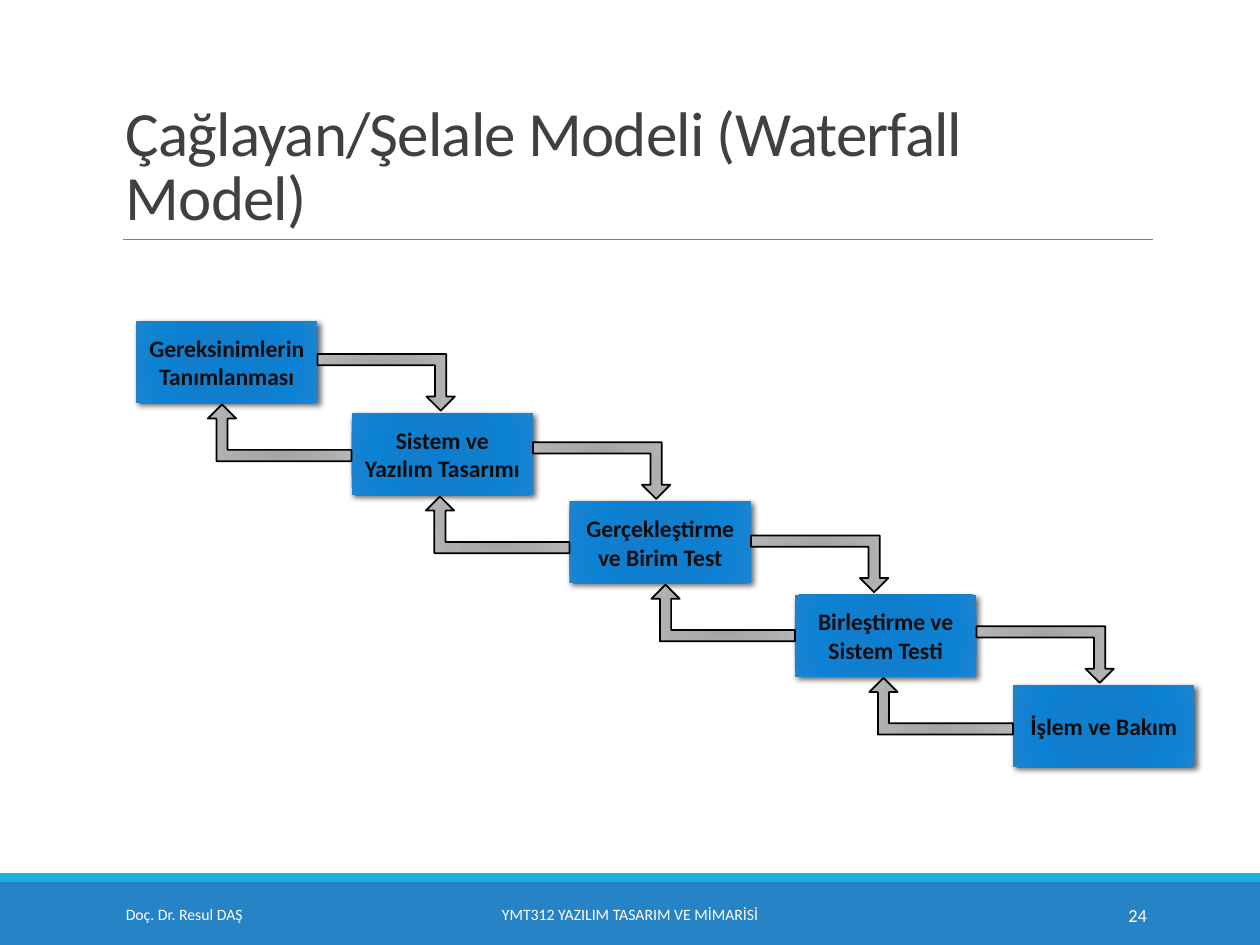
from pptx import Presentation
from pptx.dml.color import RGBColor
from pptx.enum.shapes import MSO_CONNECTOR, MSO_SHAPE
from pptx.enum.text import MSO_ANCHOR, PP_ALIGN
from pptx.oxml import parse_xml
from pptx.oxml.ns import nsdecls
from pptx.util import Inches, Pt

RECT, BENT_ARROW = MSO_SHAPE.RECTANGLE, MSO_SHAPE.BENT_UP_ARROW
LEFT, CENTER, RIGHT = PP_ALIGN.LEFT, PP_ALIGN.CENTER, PP_ALIGN.RIGHT
MIDDLE, BOTTOM = MSO_ANCHOR.MIDDLE, MSO_ANCHOR.BOTTOM
color = RGBColor.from_string

BOX_STOPS = [(0, "0D7ECF"), (34, "117ECD"), (70, "0D81D4"), (100, "1E84CE")]
ARROW_STOPS = [(0, "9C9C9C"), (45, "AAAAAA"), (100, "B4B4B4")]

prs = Presentation()
prs.slide_width, prs.slide_height = Inches(10), Inches(7.5)
slide = prs.slides.add_slide(prs.slide_layouts[6])
shapes = slide.shapes
CELL = prs.slide_width / 100  # grid of 100 columns by 75 rows


def grid(*cells):
    return [round(n * CELL) for n in cells]


def radial_fill(shape, stops):
    """Put a circular gradient in front of the line properties."""
    stop_xml = "".join(f'<a:gs pos="{pos * 1000}"><a:srgbClr val="{tone}"/></a:gs>'
                       for pos, tone in stops)
    shape.line._get_or_add_ln().addprevious(parse_xml(
        f'<a:gradFill {nsdecls("a")} rotWithShape="1"><a:gsLst>{stop_xml}</a:gsLst>'
        '<a:path path="circle"><a:fillToRect l="100000" t="100000" r="100000" '
        'b="100000"/></a:path></a:gradFill>'))


# Footer bands
for top, height, tone in [(70, 5, "2683C6"), (69.3, 0.7, "1CADE4")]:
    band = shapes.add_shape(RECT, *grid(0, top, 100, height))
    band.shadow.inherit = False
    band.fill.solid()
    band.fill.fore_color.rgb = color(tone)
    band.line.fill.background()

# Rule under the title
rule = shapes.add_connector(MSO_CONNECTOR.STRAIGHT, *grid(9.8, 19, 91.5, 19))
rule.line.color.rgb = color("808080")
rule.line.width = Pt(0.5)
rule._element.spPr.append(parse_xml(f'<a:effectLst {nsdecls("a")}/>'))

# Title and footer texts: place, wording, size, colour, alignment, anchor
labels = []
for place, wording, size, tone, align, anchor in [
    ((9, 3.1, 82.5, 15.9), "Çağlayan/Şelale Modeli (Waterfall Model)", 36, "404040", LEFT, BOTTOM),
    ((30.2, 70.6, 39.6, 4), "YMT312 YAZILIM TASARIM VE MİMARİSİ", 9, "FFFFFF", CENTER, MIDDLE),
    ((81.2, 70.6, 10.8, 4), "24", 10.5, "FFFFFF", RIGHT, MIDDLE),
    ((9, 70.6, 20.3, 4), "Doç. Dr. Resul DAŞ", 9, "FFFFFF", LEFT, MIDDLE),
]:
    labels.append((shapes.add_textbox(*grid(*place)), wording, tone, align, anchor,
                   {"size": Pt(size), "bold": False}))

# Waterfall stages
BOX_W, BOX_H = 14.4, 6.5
stages = [
    (10.8, 25.5, "Gereksinimlerin Tanımlanması"),
    (27.9, 32.8, "Sistem ve Yazılım Tasarımı"),
    (45.2, 39.8, "Gerçekleştirme ve Birim Test"),
    (63.1, 47.2, "Birleştirme ve Sistem Testi"),
    (80.4, 54.4, "İşlem ve Bakım"),
]
for left, top, wording in stages:
    stage = shapes.add_shape(RECT, *grid(left, top, BOX_W, BOX_H))
    stage.line.fill.background()
    radial_fill(stage, BOX_STOPS)
    stage.shadow.inherit = False
    stage._element.spPr[-1].append(parse_xml(
        f'<a:outerShdw {nsdecls("a")} blurRad="{Pt(3.5)}" dist="{Pt(2)}" dir="2700000" '
        'algn="tl" rotWithShape="0"><a:srgbClr val="000000"><a:alpha val="60000"/>'
        '</a:srgbClr></a:outerShdw>'))
    stage.text_frame.margin_left, stage.text_frame.margin_right = grid(0.8, 0.8)
    labels.append((stage, wording, "0D0D0D", CENTER, MIDDLE,
                   {"size": Pt(13.5), "bold": True}))

# Arrows down to the next stage and back up to the previous one
ARROW_H = 4.5
arrows = []
for (left, top, _), (next_left, next_top, _) in zip(stages, stages[1:]):
    arrows.append((left + BOX_W, next_top - 4.7, 10.9, "flipV"))
    arrows.append((next_left - 11.4, top + BOX_H + 0.1, 11.4, "flipH"))
for left, top, width, flip in arrows:
    arrow = shapes.add_shape(BENT_ARROW, *grid(left, top, width, ARROW_H))
    arrow._element.spPr.xfrm.set(flip, "1")
    for index, share in enumerate((0.198, 0.25, 0.25)):
        arrow.adjustments[index] = share
    arrow.line.color.rgb = color("000000")
    arrow.line.width = Pt(1)
    radial_fill(arrow, ARROW_STOPS)
    arrow.shadow.inherit = False

# Wording and text format
for holder, wording, tone, align, anchor, font_format in labels:
    frame = holder.text_frame
    frame.word_wrap = True
    frame.vertical_anchor = anchor
    paragraph = frame.paragraphs[0]
    paragraph.alignment = align
    run = paragraph.add_run()
    run.text = wording
    run.font.color.rgb = color(tone)
    for name, value in {"name": "Calibri", **font_format}.items():
        setattr(run.font, name, value)
    if anchor == BOTTOM:  # the title is set tighter
        paragraph.line_spacing = 0.85
        run.font._element.set("spc", "-50")

prs.save("out.pptx")
